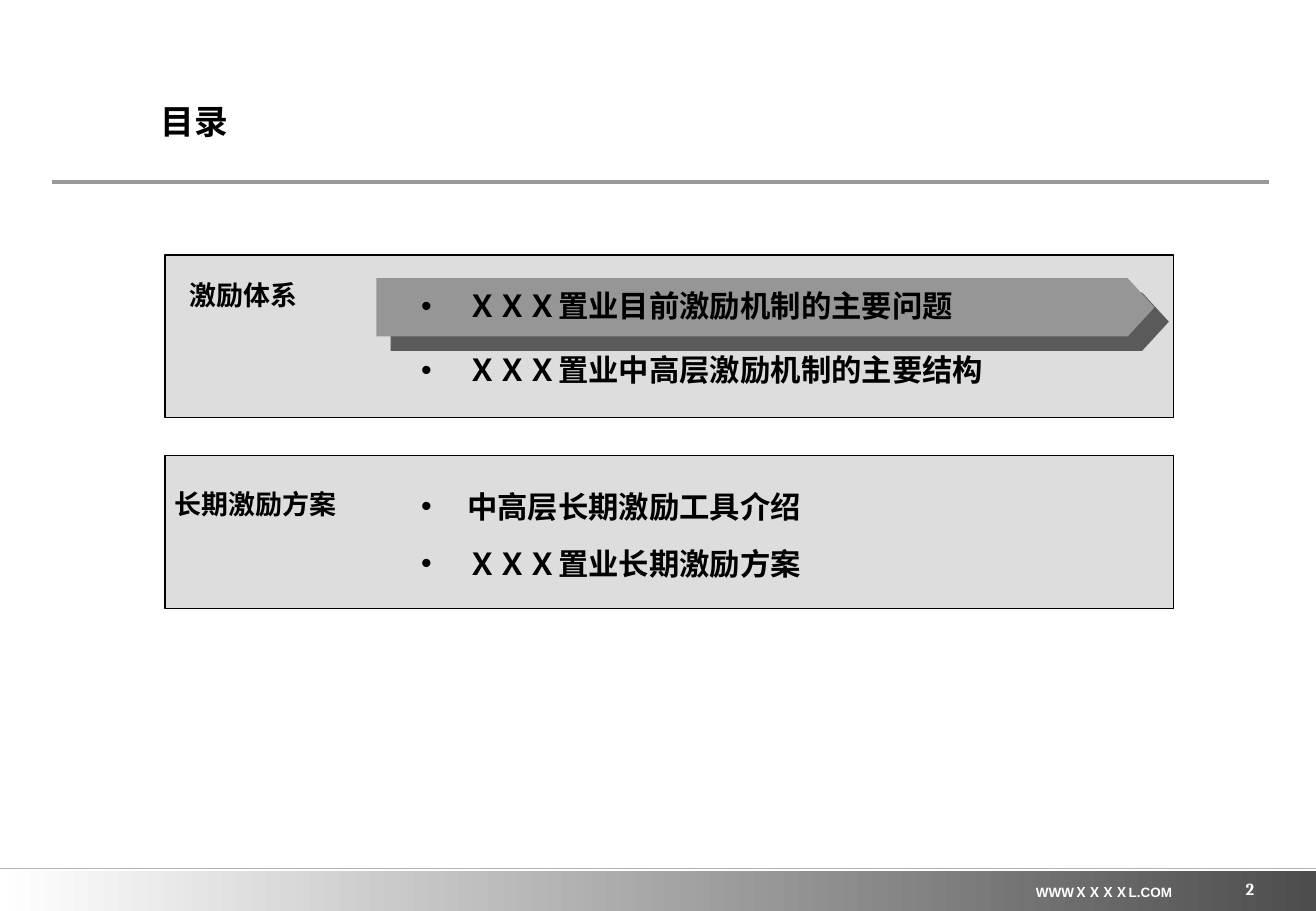
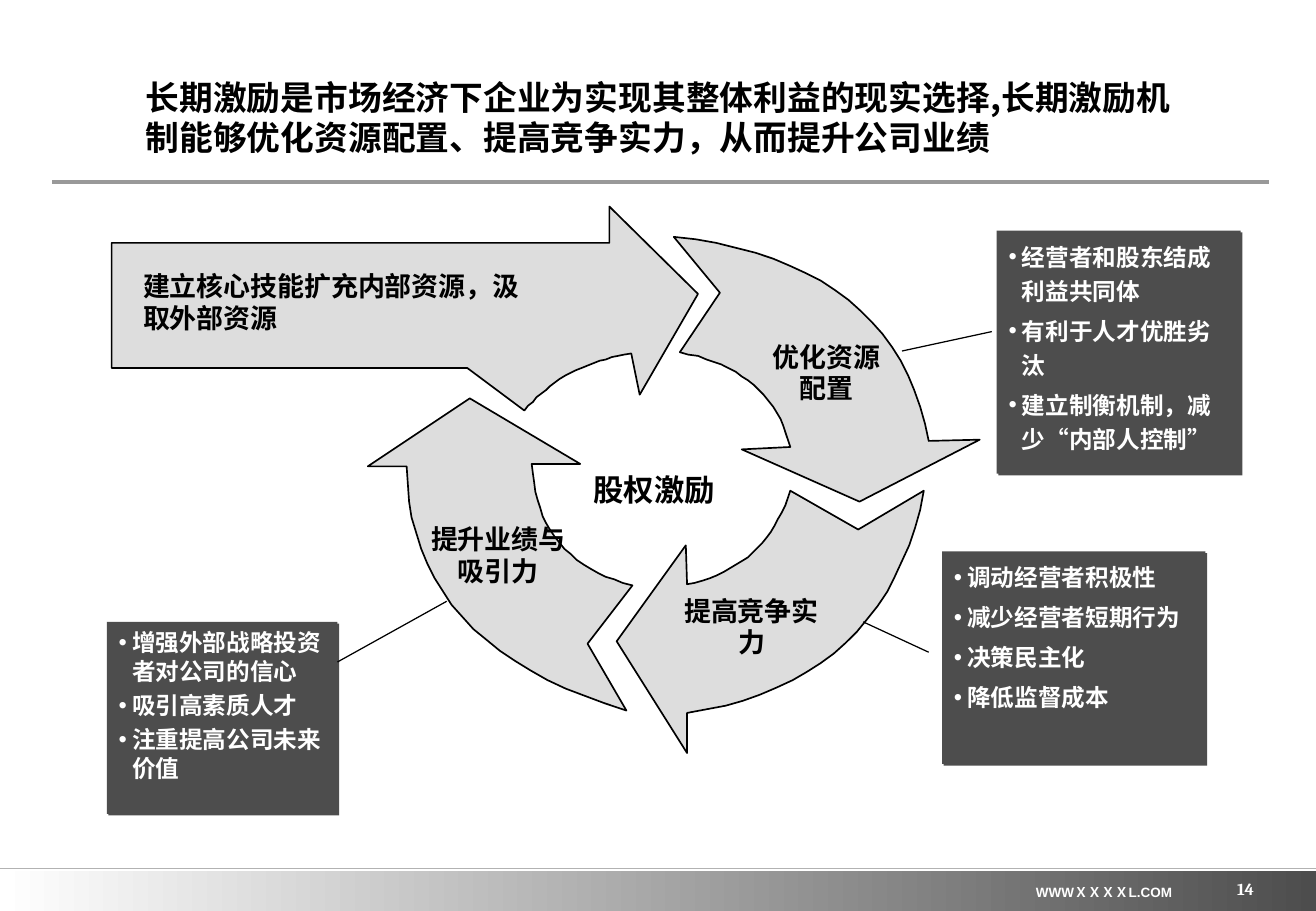
from dataclasses import dataclass

from lxml.etree import SubElement
from pptx import Presentation
from pptx.dml.color import RGBColor
from pptx.enum.shapes import MSO_CONNECTOR, MSO_SHAPE
from pptx.enum.text import MSO_ANCHOR, MSO_AUTO_SIZE, PP_ALIGN
from pptx.oxml.ns import qn
from pptx.util import Emu, Pt

PX = 9144  # 100 px to the inch


@dataclass(frozen=True)
class Theme:
    black: str = "000000"
    white: str = "FFFFFF"
    panel: str = "DDDDDD"
    highlight: str = "969696"
    highlight_shadow: str = "5A5A5A"
    dark: str = "4D4D4D"
    title_rule: str = "999999"
    footer_rule: str = "B2B2B2"
    cjk: str = "Noto Sans CJK SC"
    sans: str = "Arial"
    serif: str = "Cambria"
    note: str = "Times New Roman"
    title_size: int = 20
    item_size: int = 18
    label_size: int = 16
    note_size: int = 14
    page_size: int = 10
    footer_size: int = 8


T = Theme()


def px(*values):
    return [Emu(v * PX) for v in values]


def rgb(value):
    return RGBColor.from_string(value)


def add_bullet(p, color, indent):
    pPr = p._p.get_or_add_pPr()
    pPr.set("marL", str(indent * PX))
    pPr.set("indent", str(-indent * PX))
    SubElement(SubElement(pPr, qn("a:buClr")), qn("a:srgbClr"), val=color)
    SubElement(pPr, qn("a:buFont"), typeface=T.sans)
    SubElement(pPr, qn("a:buChar"), char="•")


def write(tf, lines, size, font=T.cjk, color=T.black, align=PP_ALIGN.LEFT,
          anchor=MSO_ANCHOR.TOP, inset=(10, 5), wrap=True, leading=None,
          before=0, bullet=0):
    """Fill a text frame; leading and before are points, inset and bullet px."""
    tf.word_wrap = wrap
    tf.auto_size = MSO_AUTO_SIZE.NONE
    tf.vertical_anchor = anchor
    tf.margin_left = tf.margin_right = Emu(inset[0] * PX)
    tf.margin_top = tf.margin_bottom = Emu(inset[1] * PX)
    for i, line in enumerate(lines):
        p = tf.add_paragraph() if i else tf.paragraphs[0]
        if bullet:
            add_bullet(p, color, bullet)
        p.alignment = align
        p.line_spacing = Pt(leading or size * 1.2)
        p.space_before = Pt(before if i else 0)
        r = p.add_run()
        r.text = line
        r.font.size = Pt(size)
        r.font.bold = True
        r.font.name = font
        r.font.color.rgb = rgb(color)
        SubElement(r._r.get_or_add_rPr(), qn("a:ea"), typeface=T.cjk)


def add_text(s, box, lines, size, **fmt):
    tb = s.shapes.add_textbox(*px(*box))
    write(tb.text_frame, lines, size, **fmt)


def style(sp, fill, line=None, width=0.75):
    sp.shadow.inherit = False
    sp.fill.solid()
    sp.fill.fore_color.rgb = rgb(fill)
    if line:
        sp.line.color.rgb = rgb(line)
        sp.line.width = Pt(width)
    else:
        sp.line.fill.background()


def add_block(s, box, fill, kind=MSO_SHAPE.RECTANGLE, line=None):
    sp = s.shapes.add_shape(kind, *px(*box))
    style(sp, fill, line)
    return sp


def cast_shadow(sp, color, distance):
    """Give a hard shadow down to the right, distance in points."""
    effects = sp._element.spPr.find(qn("a:effectLst"))
    shadow = SubElement(effects, qn("a:outerShdw"), dist=str(Pt(distance)),
                        dir="2700000", algn="ctr", rotWithShape="0")
    SubElement(shadow, qn("a:srgbClr"), val=color)


def add_line(s, x1, y1, x2, y2, color=T.black, width=0.75):
    c = s.shapes.add_connector(MSO_CONNECTOR.STRAIGHT, *px(x1, y1, x2, y2))
    c.line.color.rgb = rgb(color)
    c.line.width = Pt(width)
    SubElement(c._element.spPr, qn("a:effectLst"))


def bend(start, middle, end, steps=20):
    """Points of a curve from start to end whose halfway point is middle."""
    def at(t, a, m, b):
        control = 2 * m - (a + b) / 2
        return (1 - t) ** 2 * a + 2 * t * (1 - t) * control + t * t * b

    return [tuple(at(i / steps, *axis) for axis in zip(start, middle, end))
            for i in range(steps + 1)]


def add_outline(s, points):
    fb = s.shapes.build_freeform(*points[0], scale=PX)
    fb.add_line_segments(points[1:], close=True)
    style(fb.convert_to_shape(), T.panel, T.black, 1)


def add_callout(s, box, lines, leading):
    sp = add_block(s, box, T.dark)
    cast_shadow(sp, T.dark, 1.4)
    write(sp.text_frame, lines, T.note_size, font=T.note, color=T.white,
          leading=leading, before=3.5, bullet=11)


def add_footer(s, page):
    band = add_block(s, (0, 717, 1084, 33), T.dark)
    band.fill.gradient()
    band.fill.gradient_angle = 0
    for stop, position, color in zip(band.fill.gradient_stops, (0, 1),
                                     (T.white, T.dark)):
        stop.position = position
        stop.color.rgb = rgb(color)
    add_line(s, 0, 715, 1084, 715, T.footer_rule, 1)
    add_text(s, (841, 723, 137, 24), ["WWWＸＸＸＸL.COM"], T.footer_size,
             font=T.sans, color=T.white, align=PP_ALIGN.CENTER, wrap=False)
    add_text(s, (807, 707, 226, 33), [str(page)], T.page_size, font=T.serif,
             color=T.white, align=PP_ALIGN.RIGHT, anchor=MSO_ANCHOR.BOTTOM,
             inset=(0, 0))


def new_slide(prs, title, title_box, page):
    s = prs.slides.add_slide(prs.slide_layouts[5])
    sp = s.shapes.title
    sp.left, sp.top, sp.width, sp.height = px(*title_box)
    write(sp.text_frame, [title], T.title_size, anchor=MSO_ANCHOR.MIDDLE,
          inset=(0, 0))
    add_line(s, 43, 150, 1045, 150, T.title_rule, 2.5)
    add_footer(s, page)
    return s


def agenda_slide(prs):
    s = new_slide(prs, "目录", (132, 75, 271, 50), 2)
    for top, height in ((210, 134), (375, 126)):
        add_block(s, (136, top, 831, height), T.panel, line=T.black)
    current = add_block(s, (310, 229, 641, 48), T.highlight, MSO_SHAPE.PENTAGON)
    current.adjustments[0] = 0.46
    cast_shadow(current, T.highlight_shadow, 12.1)

    sections = (
        ("激励体系", (156, 229, 89, 32), 232, 16.5,
         ["ＸＸＸ置业目前激励机制的主要问题", "ＸＸＸ置业中高层激励机制的主要结构"]),
        ("长期激励方案", (144, 401, 133, 32), 397, 12.4,
         ["中高层长期激励工具介绍", "ＸＸＸ置业长期激励方案"]),
    )
    for label, label_box, top, gap, items in sections:
        add_text(s, label_box, [label], T.label_size, align=PP_ALIGN.CENTER,
                 inset=(0, 0), wrap=False)
        add_text(s, (337, top, 677, 95), items, T.item_size, font=T.serif,
                 leading=21.4, before=gap, bullet=38)


def cycle_slide(prs):
    s = new_slide(prs, "长期激励是市场经济下企业为实现其整体利益的现实选择,长期激励机制"
                  "能够优化资源配置、提高竞争实力，从而提升公司业绩",
                  (120, 59, 867, 75), 14)
    callouts = (
        ((776, 454, 217, 175), 20.2,
         ["调动经营者积极性", "减少经营者短期行为", "决策民主化", "降低监督成本"]),
        ((88, 512, 190, 158), 16.9,
         ["增强外部战略投资者对公司的信心", "吸引高素质人才", "注重提高公司未来价值"]),
        ((821, 190, 201, 200), 20.2,
         ["经营者和股东结成利益共同体", "有利于人才优胜劣汰",
          "建立制衡机制，减少“内部人控制”"]),
    )
    for box, leading, lines in callouts:
        add_callout(s, box, lines, leading)

    strength = [*bend((651, 404), (620, 455), (566, 481)),
                (565, 449), (508, 528), (566, 620),
                *bend((566, 587), (697, 529), (761, 404)), (707, 436)]
    resources = [(92, 303), (385, 303),
                 *bend((432, 338), (470, 307), (520, 291)),
                 (527, 325), (575, 242), (502, 170), (502, 200), (92, 200)]
    allocation = [(708, 413), (807, 362),
                  *bend((765, 363), (699, 247), (555, 195)), (593, 241),
                  *bend((560, 290), (621, 317), (651, 368)), (611, 370)]
    results = [*bend((521, 482), (461, 447), (438, 382)),
               (478, 382), (387, 328), (303, 384),
               *bend((335, 384), (381, 508), (516, 585)), (484, 530)]
    for points in (strength, resources, allocation, results):
        add_outline(s, points)

    labels = (
        ("建立核心技能扩充内部资源，汲取外部资源", (108, 218, 352, 64), PP_ALIGN.LEFT),
        ("优化资源配置", (621, 276, 120, 64), PP_ALIGN.CENTER),
        ("提高竞争实力", (543, 485, 152, 64), PP_ALIGN.CENTER),
        ("提升业绩与吸引力", (343, 426, 135, 64), PP_ALIGN.CENTER),
    )
    for label, box, align in labels:
        add_text(s, box, [label], T.label_size, font=T.sans, align=align,
                 leading=18.7)
    add_text(s, (479, 383, 120, 40), ["股权激励"], T.item_size, font=T.note,
             wrap=False)
    for ends in ((278, 545, 368, 495), (765, 537, 711, 512), (743, 289, 817, 273)):
        add_line(s, *ends)


def main():
    prs = Presentation()
    prs.slide_width, prs.slide_height = px(1084, 750)
    agenda_slide(prs)
    cycle_slide(prs)
    prs.save("out.pptx")


if __name__ == "__main__":
    main()
